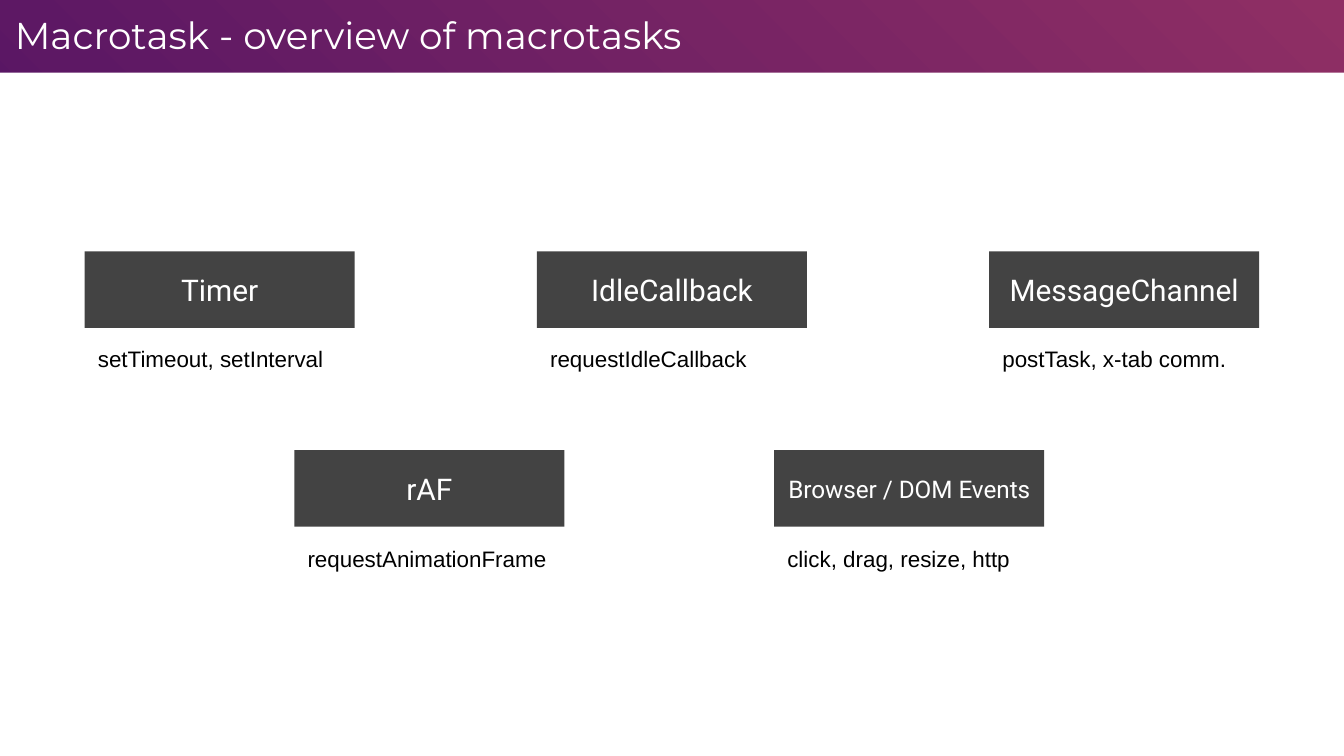
from dataclasses import dataclass

from pptx import Presentation
from pptx import util as u
from pptx.dml.color import RGBColor
from pptx.enum import shapes, text
from pptx.oxml import parse_xml
from pptx.oxml.ns import nsdecls
from pptx.slide import Slide


@dataclass(frozen=True)
class Theme:
    white: str = "FFFFFF"
    black: str = "000000"
    dark: str = "434343"
    stops: tuple = ((0, "8F2F64"), (64, "5D1864"), (100, "2B0163"))
    head: str = "Montserrat"
    label: str = "Roboto"
    body: str = "Arial"
    title: int = 20
    large: int = 16
    small: int = 13
    note: int = 12


@dataclass(frozen=True)
class Task:
    name: str
    note: str
    size: int = Theme.large


@dataclass(frozen=True)
class Row:
    first: float  # left edge of the first box
    last: float  # left edge of the last box
    top: float
    drop: float  # from the top of a box to the top of its note
    tasks: tuple


THEME = Theme()
PAGE_W = u.Inches(10)
PAGE_H = PAGE_W * 9 // 16
WIDE, HIGH = 2.01, 0.57
BAND = 0.54
ROWS = (
    Row(0.63, 7.36, 1.87, 0.6, (
        Task("Timer", "setTimeout, setInterval"),
        Task("IdleCallback", "requestIdleCallback"),
        Task("MessageChannel", "postTask, x-tab comm."),
    )),
    Row(2.19, 5.76, 3.35, 0.61, (
        Task("rAF", "requestAnimationFrame"),
        Task("Browser / DOM Events", "click, drag, resize, http", THEME.small),
    )),
)


def write(frame, words: str, face: str, size: int, color: str) -> None:
    frame.word_wrap = True
    frame.margin_left = frame.margin_right = u.Inches(0.1)
    frame.margin_top = frame.margin_bottom = u.Inches(0.1)
    frame.text = words
    font = frame.paragraphs[0].font
    font.name, font.size = face, u.Pt(size)
    font.color.rgb = RGBColor.from_string(color)


def add_rect(slide: Slide, x: float, y: float, w: float, h: float, color: str):
    rect = slide.shapes.add_shape(
        shapes.MSO_SHAPE.RECTANGLE, *map(u.Inches, (x, y, w, h)))
    rect.shadow.inherit = False
    rect.fill.solid()
    rect.fill.fore_color.rgb = RGBColor.from_string(color)
    rect.line.fill.background()
    return rect


def paint_back(slide: Slide) -> None:
    """Fill the background with a gradient that spreads from the top right."""
    slide.background.fill.gradient()
    old = slide.element.xpath(".//p:bgPr/a:gradFill")[0]
    stops = "".join(
        f'<a:gs pos="{pos * 1000}"><a:srgbClr val="{color}"/></a:gs>'
        for pos, color in THEME.stops)
    new = parse_xml(
        f'<a:gradFill {nsdecls("a")} rotWithShape="0"><a:gsLst>{stops}</a:gsLst>'
        '<a:path path="circle"><a:fillToRect l="100000" b="100000"/></a:path>'
        '</a:gradFill>')
    old.getparent().replace(old, new)


def add_task(slide: Slide, task: Task, x: float, y: float, drop: float) -> None:
    box = add_rect(slide, x, y, WIDE, HIGH, THEME.dark)
    frame = box.text_frame
    write(frame, task.name, THEME.label, task.size, THEME.white)
    frame.vertical_anchor = text.MSO_ANCHOR.MIDDLE
    frame.paragraphs[0].alignment = text.PP_ALIGN.CENTER
    note = slide.shapes.add_textbox(*map(u.Inches, (x, y + drop, WIDE, 0.4)))
    write(note.text_frame, task.note, THEME.body, THEME.note, THEME.black)
    note.text_frame.auto_size = text.MSO_AUTO_SIZE.SHAPE_TO_FIT_TEXT


def add_row(slide: Slide, row: Row) -> None:
    step = (row.last - row.first) / (len(row.tasks) - 1)
    for i, task in enumerate(row.tasks):
        add_task(slide, task, row.first + i * step, row.top, row.drop)


def set_title(slide: Slide, words: str) -> None:
    title = slide.shapes.title
    title.left, title.top = u.Inches(0.01), u.Inches(-0.01)
    title.width, title.height = u.Inches(9.32), u.Inches(0.63)
    frame = title.text_frame
    write(frame, words, THEME.head, THEME.title, THEME.white)
    frame.auto_size = text.MSO_AUTO_SIZE.NONE
    frame.vertical_anchor = text.MSO_ANCHOR.TOP
    frame.paragraphs[0].alignment = text.PP_ALIGN.LEFT
    title.element.getparent().append(title.element)  # bring to front


def main() -> None:
    deck = Presentation()
    deck.slide_width, deck.slide_height = PAGE_W, PAGE_H
    slide = deck.slides.add_slide(deck.slide_layouts[5])
    paint_back(slide)
    add_rect(slide, 0, BAND, 10, u.Emu(PAGE_H).inches - BAND, THEME.white)
    for row in ROWS:
        add_row(slide, row)
    set_title(slide, "Macrotask - overview of macrotasks")
    deck.save("out.pptx")


if __name__ == "__main__":
    main()
